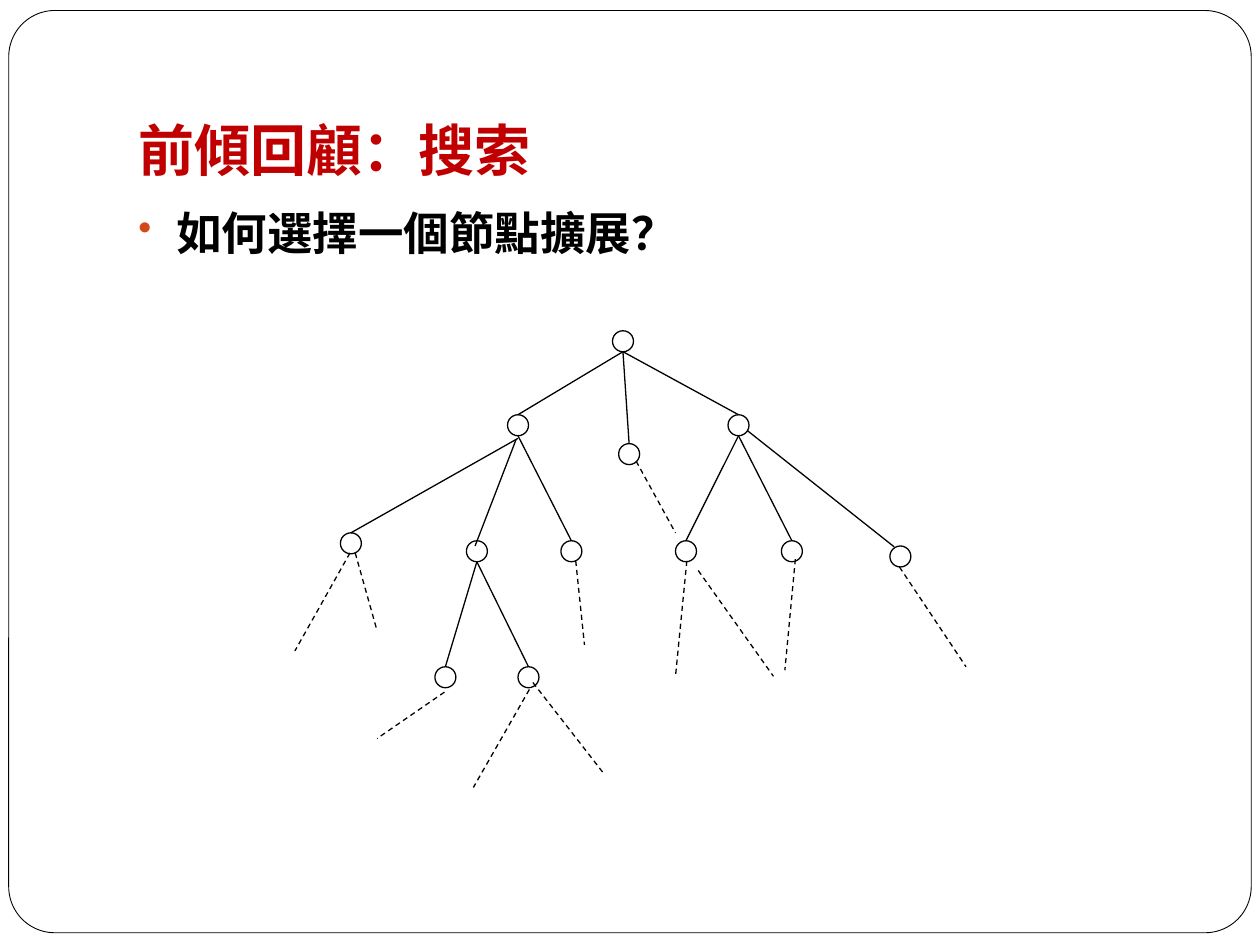
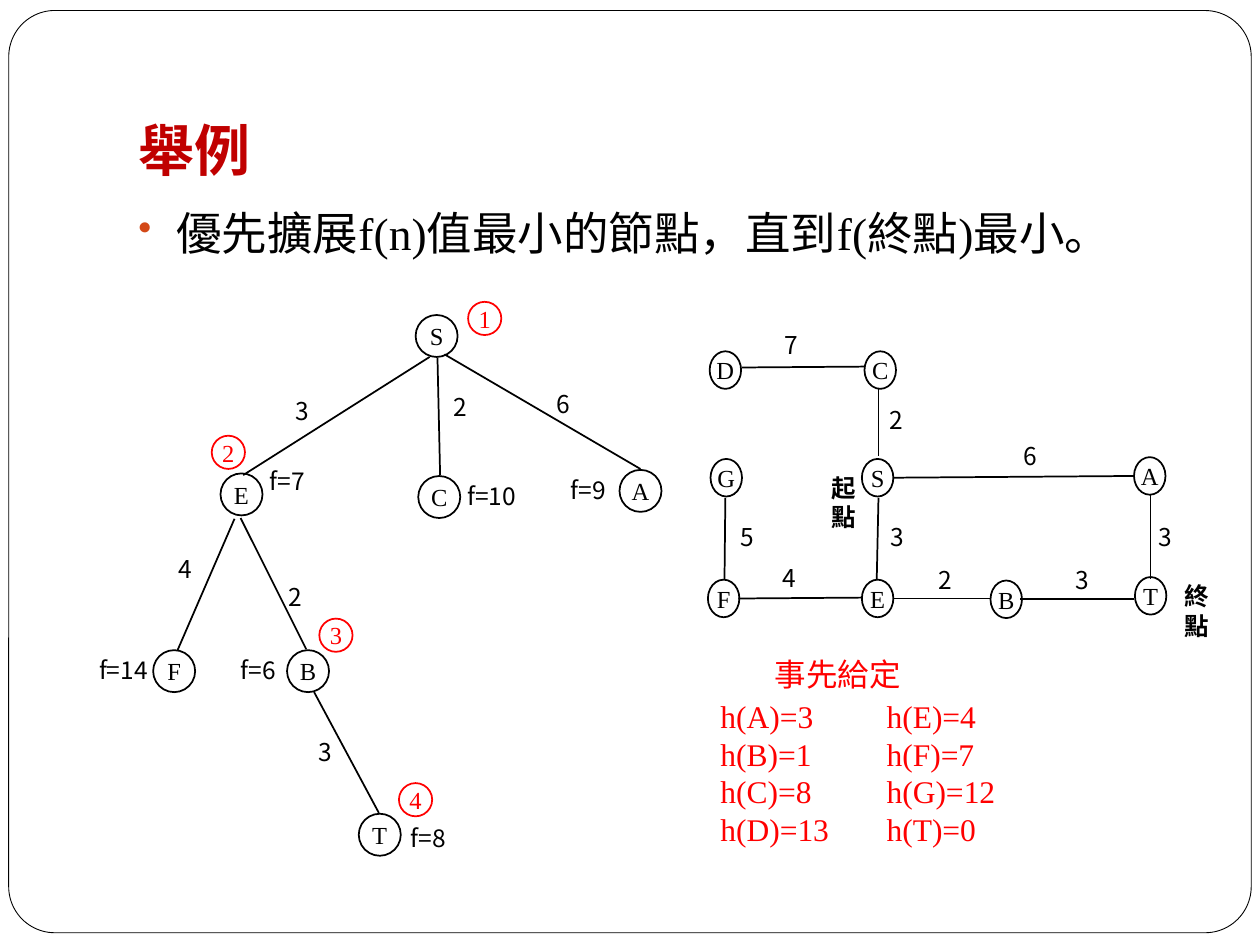
"""Builds two slides on search trees and best-first node expansion."""
from dataclasses import dataclass

from lxml import etree
from pptx import Presentation
from pptx.dml.color import RGBColor
from pptx.enum.dml import MSO_LINE
from pptx.enum.shapes import MSO_CONNECTOR, MSO_SHAPE
from pptx.enum.text import MSO_ANCHOR, PP_ALIGN
from pptx.oxml.ns import qn
from pptx.util import Pt

BLACK = RGBColor(0x00, 0x00, 0x00)
WHITE = RGBColor(0xFF, 0xFF, 0xFF)
RED = RGBColor(0xFF, 0x00, 0x00)
TITLE_RED = RGBColor(0xC0, 0x00, 0x00)
BULLET_ORANGE = "D34817"
SERIF = "Times New Roman"
SANS = "Noto Sans CJK SC"

OVAL, ROUNDED, RECT = MSO_SHAPE.OVAL, MSO_SHAPE.ROUNDED_RECTANGLE, MSO_SHAPE.RECTANGLE
STRAIGHT = MSO_CONNECTOR.STRAIGHT
DASH = MSO_LINE.DASH
TOP, MIDDLE, BOTTOM = MSO_ANCHOR.TOP, MSO_ANCHOR.MIDDLE, MSO_ANCHOR.BOTTOM
LEFT, CENTER, JUSTIFY = PP_ALIGN.LEFT, PP_ALIGN.CENTER, PP_ALIGN.JUSTIFY


@dataclass(frozen=True)
class Style:
    """Font settings of a paragraph."""
    size: float
    color: RGBColor = BLACK
    bold: bool = False
    font: str = SERIF
    align: PP_ALIGN = LEFT


@dataclass(frozen=True)
class Node:
    """An ellipse placed by its centre."""
    x: float
    y: float
    text: str = ""


@dataclass(frozen=True)
class NodeStyle:
    """Size, line and text colour shared by a set of nodes."""
    width: float
    height: float
    line: float = 1
    color: RGBColor = BLACK


@dataclass(frozen=True)
class Label:
    """A caption placed by its top left corner."""
    x: float
    y: float
    text: str


@dataclass(frozen=True)
class Edge:
    """A straight line between two points."""
    x1: float
    y1: float
    x2: float
    y2: float


TITLE = Style(32, TITLE_RED, bold=True)
GIVEN = Style(18, RED)
CAPTION = Style(14, font=SANS, align=JUSTIFY)
CAPTION_BOLD = Style(14, bold=True, font=SANS, align=JUSTIFY)

SMALL_NODE = NodeStyle(12, 12, 0.75)
TREE_NODE = NodeStyle(24, 24)
GRAPH_NODE = NodeStyle(18, 21.5)
BADGE = NodeStyle(19, 19, color=RED)

SEARCH_NODES = {
    "root": Node(356, 195),
    "left": Node(296, 243), "middle": Node(359.5, 259.5), "right": Node(422, 243),
    "left 1": Node(200.5, 310.5), "left 2": Node(272.5, 315), "left 3": Node(326.5, 315),
    "right 1": Node(392, 315), "right 2": Node(452.5, 315), "right 3": Node(514.5, 318),
    "leaf 1": Node(254.5, 387), "leaf 2": Node(302, 387),
}
CHILDREN = {
    "root": ["left", "middle", "right"],
    "left": ["left 3"],
    "right": ["right 1", "right 2"],
    "left 2": ["leaf 1", "leaf 2"],
}
SIDE_EDGES = [
    Edge(296, 250.5, 200.5, 304.5), Edge(295, 251, 271.5, 312), Edge(427, 246, 511, 312.5),
]
OPEN_EDGES = [
    Edge(363.5, 263.5, 386, 304.5), Edge(514, 324, 552, 381),
    Edge(454.5, 319.5, 448.5, 383), Edge(392.5, 320.5, 386, 386.5),
    Edge(399, 326, 442, 386.5), Edge(200, 316, 168.5, 372),
    Edge(302.5, 394, 270.5, 450), Edge(329, 320.5, 334, 368.5),
    Edge(203, 316, 215.5, 360.5), Edge(254, 395.5, 215.5, 422),
    Edge(304.5, 390, 345, 442),
]

TREE_WEIGHTS = [
    Label(252, 220.5, "2"), Label(161.5, 222.5, "3"), Label(311, 219, "6"),
    Label(157.5, 329, "2"), Label(95, 313, "4"), Label(175, 417.5, "3"),
]
TREE_SCORES = [
    Label(147, 263, "f=7"), Label(260, 271.5, "f=10"), Label(319, 268, "f=9"),
    Label(49.5, 371, "f=14"), Label(130.5, 371, "f=6"), Label(227.5, 466.5, "f=8"),
]
TREE_NODES = [
    Node(249.5, 192, "S"), Node(138, 282.5, "E"), Node(251, 284, "C"), Node(366, 280.5, "A"),
    Node(176, 383.5, "B"), Node(99.5, 383.5, "F"), Node(217, 477, "T"),
]
BADGES = [
    Node(277, 182, "1"), Node(130.5, 258.5, "2"), Node(192, 363, "3"), Node(237.5, 457, "4"),
]
TREE_EDGES = [
    Edge(245.5, 204, 139, 271.5), Edge(250, 204.5, 251.5, 271.5), Edge(254, 202.5, 366, 268),
    Edge(134, 296.5, 101.5, 371.5), Edge(137.5, 296, 175, 371), Edge(179.5, 395.5, 216.5, 464.5),
]

GRAPH_WEIGHTS = [
    Label(441.5, 185, "7"), Label(501, 228, "2"), Label(578, 248.5, "6"),
    Label(416, 294.5, "5"), Label(502, 295, "3"), Label(655, 295, "3"),
    Label(440, 318, "4"), Label(529, 319.5, "2"), Label(607.5, 319.5, "3"),
]
GRAPH_ENDS = [Label(468, 266.5, "起點"), Label(669.5, 328.5, "終點")]
GRAPH_NODES = [
    Node(414.5, 211.5, "D"), Node(503, 211.5, "C"),
    Node(415, 273, "G"), Node(501.5, 273, "S"), Node(657, 272, "A"),
    Node(413.5, 342, "F"), Node(501.5, 342, "E"), Node(575, 342.5, "B"), Node(657.5, 340.5, "T"),
]
GRAPH_EDGES = [
    Edge(424, 210, 494, 209.5), Edge(502, 222.5, 502, 260.5), Edge(510.5, 273, 648, 272),
    Edge(414.5, 284.5, 414, 331), Edge(502, 284.5, 501, 331), Edge(657.5, 283, 657.5, 331),
    Edge(422, 342, 492.5, 341.5), Edge(511, 342, 566.5, 342), Edge(583, 342.5, 648, 342.5),
]
HEURISTICS = [
    "h(A)=3\th(E)=4", "h(B)=1\th(F)=7", "h(C)=8\th(G)=12", "h(D)=13\th(T)=0",
]


def style_paragraph(p, style: Style) -> None:
    """Apply a style to a whole paragraph."""
    p.alignment = style.align
    p.font.size = Pt(style.size)
    p.font.bold = style.bold
    p.font.color.rgb = style.color
    p.font.name = style.font
    props = p._p.get_or_add_pPr().find(qn("a:defRPr"))
    etree.SubElement(props, qn("a:ea"), typeface=SANS)


def add_bullet(p) -> None:
    """Give a paragraph a hanging round bullet."""
    props = p._p.get_or_add_pPr()
    props.set("marL", str(Pt(21.6)))
    props.set("indent", str(-Pt(21.6)))
    color = etree.SubElement(props, qn("a:buClr"))
    etree.SubElement(color, qn("a:srgbClr"), val=BULLET_ORANGE)
    etree.SubElement(props, qn("a:buSzPct"), val="85000")
    etree.SubElement(props, qn("a:buChar"), char="•")


def add_tab(p, position: float) -> None:
    """Add a left tab stop to a paragraph."""
    tabs = etree.SubElement(p._p.get_or_add_pPr(), qn("a:tabLst"))
    etree.SubElement(tabs, qn("a:tab"), pos=str(Pt(position)), algn="l")


def add_text(s, x: float, y: float, w: float, h: float, lines: list[str], style: Style,
             anchor: MSO_ANCHOR = TOP, bullet: bool = False, tab: float = 0):
    """Add a wrapped text box with one paragraph per line."""
    tf = s.shapes.add_textbox(Pt(x), Pt(y), Pt(w), Pt(h)).text_frame
    tf.word_wrap = True
    tf.vertical_anchor = anchor
    for i, line in enumerate(lines):
        p = tf.add_paragraph() if i else tf.paragraphs[0]
        p.add_run().text = line
        if bullet:
            add_bullet(p)
        if tab:
            add_tab(p, tab)
        style_paragraph(p, style)
    return tf


def add_plain_shape(s, kind: MSO_SHAPE, x: float, y: float, w: float, h: float):
    """Add a white shape without shadow."""
    sp = s.shapes.add_shape(kind, Pt(x), Pt(y), Pt(w), Pt(h))
    sp.shadow.inherit = False
    sp.fill.solid()
    sp.fill.fore_color.rgb = WHITE
    return sp


def add_nodes(s, nodes: list[Node], look: NodeStyle) -> None:
    """Draw ellipses with their centred letters."""
    for node in nodes:
        sp = add_plain_shape(s, OVAL, node.x - look.width / 2, node.y - look.height / 2,
                             look.width, look.height)
        sp.line.color.rgb = look.color
        sp.line.width = Pt(look.line)
        if node.text:
            tf = sp.text_frame
            tf.margin_left = tf.margin_top = tf.margin_right = tf.margin_bottom = 0
            tf.vertical_anchor = MIDDLE
            p = tf.paragraphs[0]
            p.add_run().text = node.text
            style_paragraph(p, Style(14, look.color, align=CENTER))


def add_labels(s, labels: list[Label], w: float, h: float, style: Style = CAPTION) -> None:
    """Draw white caption boxes of one size."""
    for label in labels:
        sp = add_plain_shape(s, RECT, label.x, label.y, w, h)
        sp.line.fill.background()
        tf = sp.text_frame
        tf.word_wrap = True
        tf.vertical_anchor = TOP
        p = tf.paragraphs[0]
        p.add_run().text = label.text
        style_paragraph(p, style)


def add_edges(s, edges: list[Edge], width: float = 1, dashed: bool = False) -> None:
    """Draw straight black lines."""
    for e in edges:
        line = s.shapes.add_connector(STRAIGHT, Pt(e.x1), Pt(e.y1), Pt(e.x2), Pt(e.y2))
        line.line.color.rgb = BLACK
        line.line.width = Pt(width)
        if dashed:
            line.line.dash_style = DASH
        etree.SubElement(line._element.spPr, qn("a:effectLst"))


def add_slide(prs, title: str, point: str, bold: bool = False):
    """Add a framed slide with its title and bullet point."""
    s = prs.slides.add_slide(prs.slide_layouts[6])
    frame = add_plain_shape(s, ROUNDED, 5, 6, 710, 527)
    frame.adjustments[0] = 0.05
    frame.line.color.rgb = BLACK
    frame.line.width = Pt(0.5)
    tf = add_text(s, 72, 21.6, 612, 90, [title], TITLE, anchor=BOTTOM)
    tf.margin_bottom = Pt(7.2)
    add_text(s, 72, 113.8, 612, 360, [point], Style(26, bold=bold), bullet=True)
    return s


def build_search_slide(prs) -> None:
    """Draw the partly expanded search tree."""
    s = add_slide(prs, "前傾回顧：搜索", "如何選擇一個節點擴展？", bold=True)
    nodes, radius = SEARCH_NODES, SMALL_NODE.height / 2
    add_nodes(s, list(nodes.values()), SMALL_NODE)
    branches = [Edge(nodes[parent].x, nodes[parent].y + radius,
                     nodes[child].x, nodes[child].y - radius)
                for parent, children in CHILDREN.items() for child in children]
    add_edges(s, branches + SIDE_EDGES, SMALL_NODE.line)
    add_edges(s, OPEN_EDGES, SMALL_NODE.line, dashed=True)


def build_example_slide(prs) -> None:
    """Draw the expansion order beside the weighted graph."""
    s = add_slide(prs, "舉例", "優先擴展f(n)值最小的節點，直到f(終點)最小。")
    add_labels(s, TREE_WEIGHTS, 26, 25)
    add_labels(s, TREE_SCORES, 49, 25)
    add_labels(s, GRAPH_WEIGHTS, 19.5, 23)
    add_labels(s, GRAPH_ENDS, 35, 23, CAPTION_BOLD)
    add_nodes(s, TREE_NODES, TREE_NODE)
    add_nodes(s, GRAPH_NODES, GRAPH_NODE)
    add_nodes(s, BADGES, BADGE)
    add_edges(s, TREE_EDGES + GRAPH_EDGES)
    add_text(s, 404.6, 394.6, 197, 94, HEURISTICS, GIVEN, tab=95)
    add_text(s, 435.6, 370.8, 96.5, 29, ["事先給定"], GIVEN)


def main() -> None:
    """Build and save the presentation."""
    prs = Presentation()
    prs.slide_width, prs.slide_height = Pt(720), Pt(540)
    build_search_slide(prs)
    build_example_slide(prs)
    prs.save("out.pptx")


if __name__ == "__main__":
    main()
